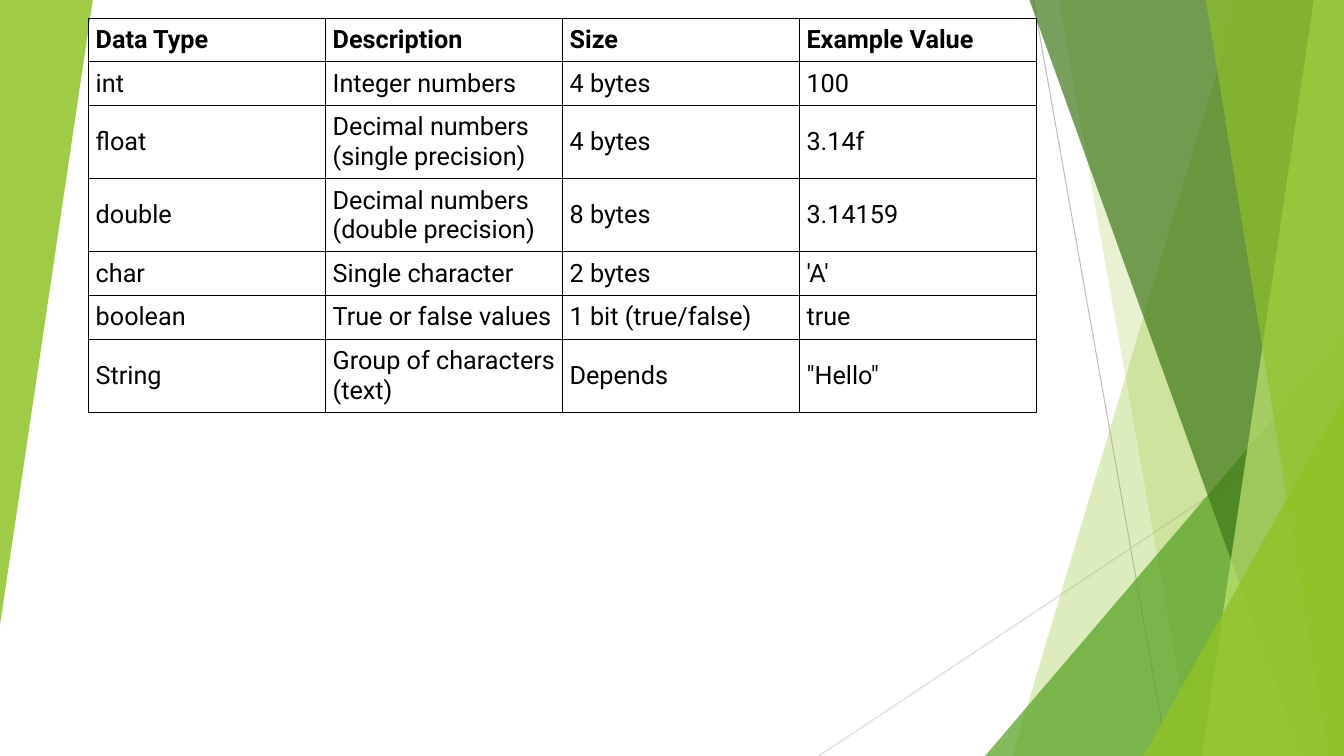
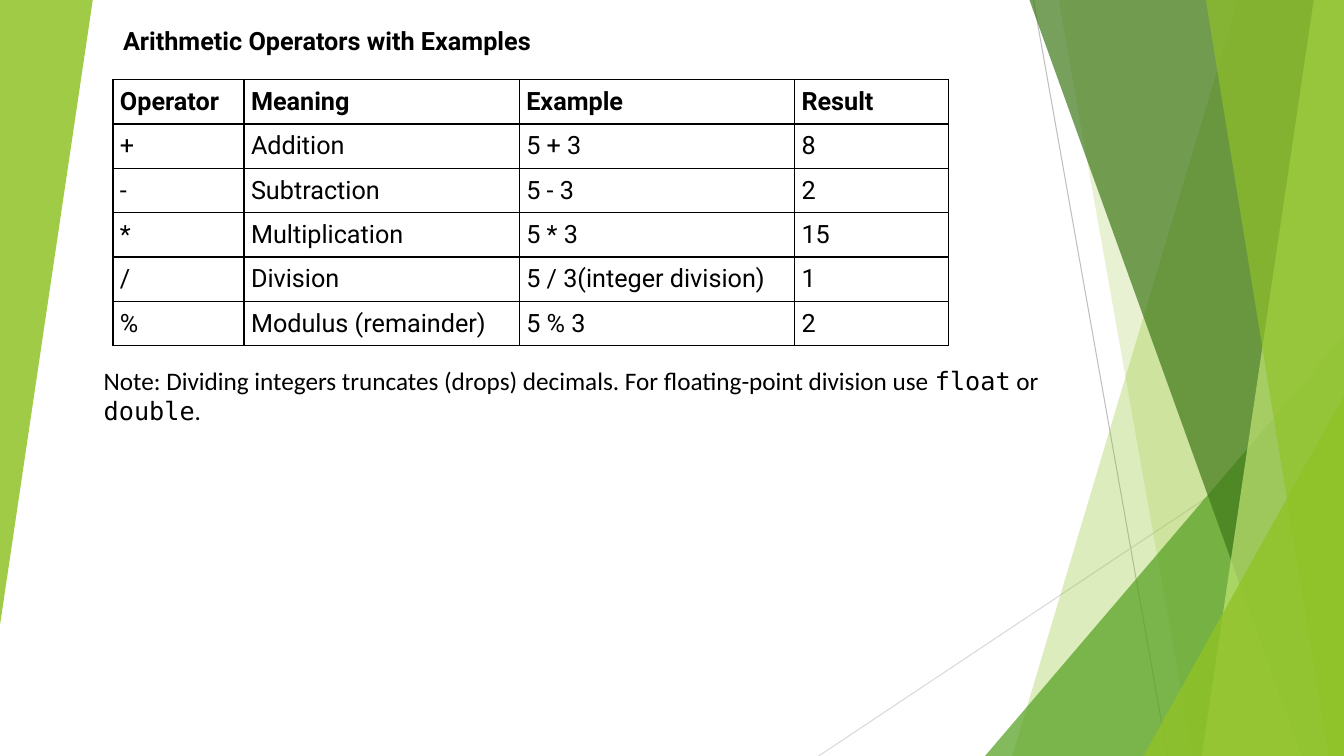
from collections import namedtuple

from lxml import etree
from pptx import Presentation
from pptx.dml.color import RGBColor
from pptx.enum.shapes import MSO_CONNECTOR, MSO_SHAPE
from pptx.enum.text import MSO_ANCHOR, MSO_AUTO_SIZE, PP_ALIGN
from pptx.oxml.ns import qn
from pptx.util import Inches, Pt

STRAIGHT = MSO_CONNECTOR.STRAIGHT
TRIANGLE = MSO_SHAPE.ISOSCELES_TRIANGLE
MIDDLE, TOP = MSO_ANCHOR.MIDDLE, MSO_ANCHOR.TOP
LEFT = PP_ALIGN.LEFT
FIT_SHAPE = MSO_AUTO_SIZE.SHAPE_TO_FIT_TEXT

Box = namedtuple("Box", "left top width height")
PAGE = Box(0, 0, 13.33, 7.5)
TITLE_ONLY, BLANK = 5, 6

BLACK = "000000"
GREEN, MID_GREEN, DARK_GREEN, PALE_GREEN = "90C226", "54A021", "3F7819", "C0E474"
HEADING_FONT, BODY_FONT, CODE_FONT = "Roboto", "Calibri", "DejaVu Sans Mono"
TEXT_SIZE = 18
CELL_MARGIN = 0.07
ONE_LINE, TWO_LINES = 0.43, 0.72

RAYS = [((3.08, 0), (1.75, 7.5), "BFBFBF"), ((0, 4.03), (5.21, 7.5), "D9D9D9")]
FACETS = [
    ("band", 1.05, 3.29, GREEN, 30),
    ("band", 2.83, 1.5, GREEN, 20),
    ("corner", 3.56, 4.17, MID_GREEN, 72),
    ("band", 3.12, 0.42, DARK_GREEN, 70),
    ("band", 0.3, 1.41, PALE_GREEN, 70),
    ("band", 1.37, 0.15, GREEN, 65),
    ("corner", 1.99, 3.57, GREEN, 80),
]

DATA_TYPES = [
    ("Data Type", "Description", "Size", "Example Value"),
    ("int", "Integer numbers", "4 bytes", "100"),
    ("float", "Decimal numbers (single precision)", "4 bytes", "3.14f"),
    ("double", "Decimal numbers (double precision)", "8 bytes", "3.14159"),
    ("char", "Single character", "2 bytes", "'A'"),
    ("boolean", "True or false values", "1 bit (true/false)", "true"),
    ("String", "Group of characters (text)", "Depends", '"Hello"'),
]
TWO_LINE_TYPES = ("float", "double", "String")
OPERATORS = [
    ("Operator", "Meaning", "Example", "Result"),
    ("+", "Addition", "5 + 3", "8"),
    ("-", "Subtraction", "5 - 3", "2"),
    ("*", "Multiplication", "5 * 3", "15"),
    ("/", "Division", "5 / 3(integer division)", "1"),
    ("%", "Modulus (remainder)", "5 % 3", "2"),
]
NOTE = [
    ("Note: Dividing integers truncates (drops) decimals. "
     "For floating-point division use ", BODY_FONT),
    ("float", CODE_FONT),
    (" or ", BODY_FONT),
    ("double", CODE_FONT),
    (".", BODY_FONT),
]


def color(value):
    return RGBColor.from_string(value)


def to_emu(box):
    return [Inches(length) for length in box]


def paint(shape, fill, opacity):
    shape.fill.solid()
    shape.fill.fore_color.rgb = color(fill)
    tint = shape.element.spPr.find(".//" + qn("a:srgbClr"))
    etree.SubElement(tint, qn("a:alpha"), val=str(opacity * 1000))
    shape.line.fill.background()
    shape.shadow.inherit = False
    return shape


def add_run(paragraph, text, font=HEADING_FONT, bold=False):
    run = paragraph.add_run()
    run.text = text
    run.font.name = font
    run.font.size = Pt(TEXT_SIZE)
    run.font.bold = bold
    run.font.color.rgb = color(BLACK)


def add_ray(slide, box, start, end, stroke):
    right = box.left + box.width
    ends = [Inches(length) for inset, drop in (start, end)
            for length in (right - inset, box.top + drop)]
    connector = slide.shapes.add_connector(STRAIGHT, *ends)
    connector.line.color.rgb = color(stroke)
    connector.line.width = Pt(0.75)
    etree.SubElement(connector.element.spPr, qn("a:effectLst"))
    return connector


def add_band(slide, box, top_width, bottom_width):
    right, bottom = box.left + box.width, box.top + box.height
    corners = [(right - top_width, box.top), (right, box.top),
               (right, bottom), (right - bottom_width, bottom)]
    points = [(Inches(x), Inches(y)) for x, y in corners]
    builder = slide.shapes.build_freeform(*points[0], scale=1.0)
    builder.add_line_segments(points[1:], close=True)
    return builder.convert_to_shape()


def add_triangle(slide, box):
    shape = slide.shapes.add_shape(TRIANGLE, *to_emu(box))
    shape.adjustments[0] = 1
    return shape


def add_corner(slide, box, width, height):
    return add_triangle(slide, Box(box.left + box.width - width,
                                   box.top + box.height - height, width, height))


def add_backdrop(slide, box):
    builders = {"band": add_band, "corner": add_corner}
    shapes = [add_ray(slide, box, *ray) for ray in RAYS]
    for kind, first, second, fill, opacity in FACETS:
        shapes.append(paint(builders[kind](slide, box, first, second), fill, opacity))
    wedge = add_triangle(slide, Box(box.left, box.top, 0.92, 6.2))
    wedge.rotation = 180
    shapes.append(paint(wedge, GREEN, 85))
    return shapes


def move_to_master(presentation, shapes):
    tree = presentation.slide_master.shapes.element
    for position, shape in enumerate(shapes, start=2):
        tree.insert(position, shape.element)


def format_cell(cell):
    cell.vertical_anchor = MIDDLE
    cell.margin_left = cell.margin_right = Inches(CELL_MARGIN)
    cell.margin_top = cell.margin_bottom = Inches(CELL_MARGIN)
    properties = cell._tc.get_or_add_tcPr()
    for side in ("a:lnL", "a:lnR", "a:lnT", "a:lnB"):
        border = etree.SubElement(properties, qn(side), w=str(Pt(1)))
        fill = etree.SubElement(border, qn("a:solidFill"))
        etree.SubElement(fill, qn("a:srgbClr"), val=BLACK)
    cell.fill.background()


def add_grid(slide, left, top, widths, heights, content):
    box = Box(left, top, sum(widths), sum(heights))
    table = slide.shapes.add_table(len(heights), len(widths), *to_emu(box)).table
    table.first_row = table.horz_banding = False
    for column, width in zip(table.columns, widths):
        column.width = Inches(width)
    for row, height in zip(table.rows, heights):
        row.height = Inches(height)
    for row_number, texts in enumerate(content):
        for column_number, text in enumerate(texts):
            cell = table.cell(row_number, column_number)
            format_cell(cell)
            add_run(cell.text_frame.paragraphs[0], text, bold=row_number == 0)


def set_title(slide, box, text):
    title = slide.shapes.title
    title.left, title.top, title.width, title.height = to_emu(box)
    frame = title.text_frame
    frame.word_wrap = True
    frame.auto_size = FIT_SHAPE
    frame.vertical_anchor = TOP
    paragraph = frame.paragraphs[0]
    paragraph.alignment = LEFT
    add_run(paragraph, text, bold=True)


def add_note(slide, box, runs):
    frame = slide.shapes.add_textbox(*to_emu(box)).text_frame
    frame.word_wrap = True
    frame.auto_size = FIT_SHAPE
    for text, font in runs:
        add_run(frame.paragraphs[0], text, font)


def build_data_types(slide):
    heights = [TWO_LINES if row[0] in TWO_LINE_TYPES else ONE_LINE
               for row in DATA_TYPES]
    add_grid(slide, 0.88, 0.18, [2.35] * 4, heights, DATA_TYPES)


def build_operators(slide):
    set_title(slide, Box(1.12, 0.2, 8.72, 0.4), "Arithmetic Operators with Examples")
    add_grid(slide, 1.12, 0.79, [1.3, 2.73, 2.73, 1.53],
             [2.6 / len(OPERATORS)] * len(OPERATORS), OPERATORS)
    add_note(slide, Box(0.93, 3.57, 9.91, 0.71), NOTE)


def main():
    presentation = Presentation()
    presentation.slide_width = Inches(PAGE.width)
    presentation.slide_height = Inches(PAGE.height)
    layouts = presentation.slide_layouts
    data_types = presentation.slides.add_slide(layouts[BLANK])
    move_to_master(presentation, add_backdrop(data_types, PAGE))
    build_data_types(data_types)
    build_operators(presentation.slides.add_slide(layouts[TITLE_ONLY]))
    presentation.save("out.pptx")


if __name__ == "__main__":
    main()
